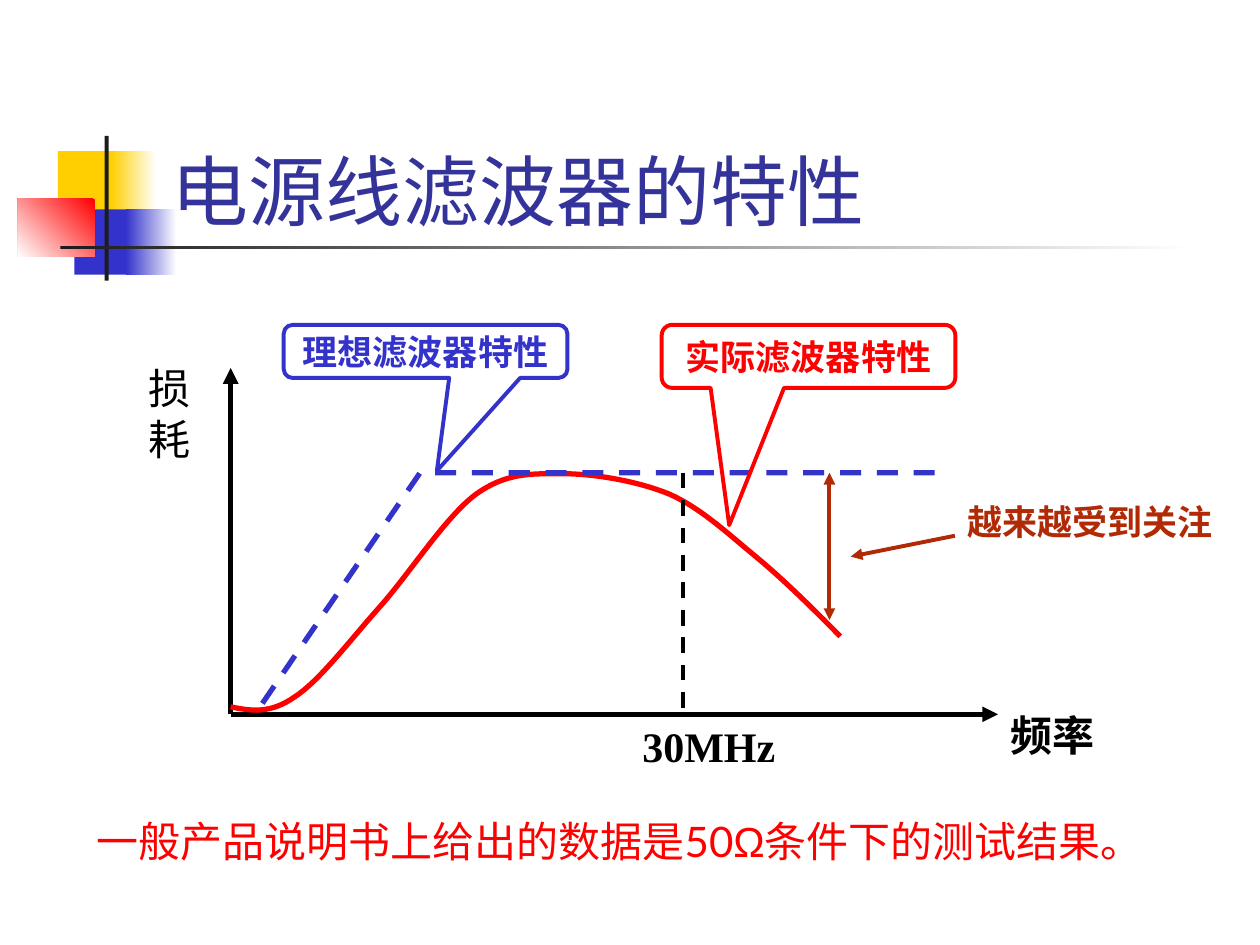
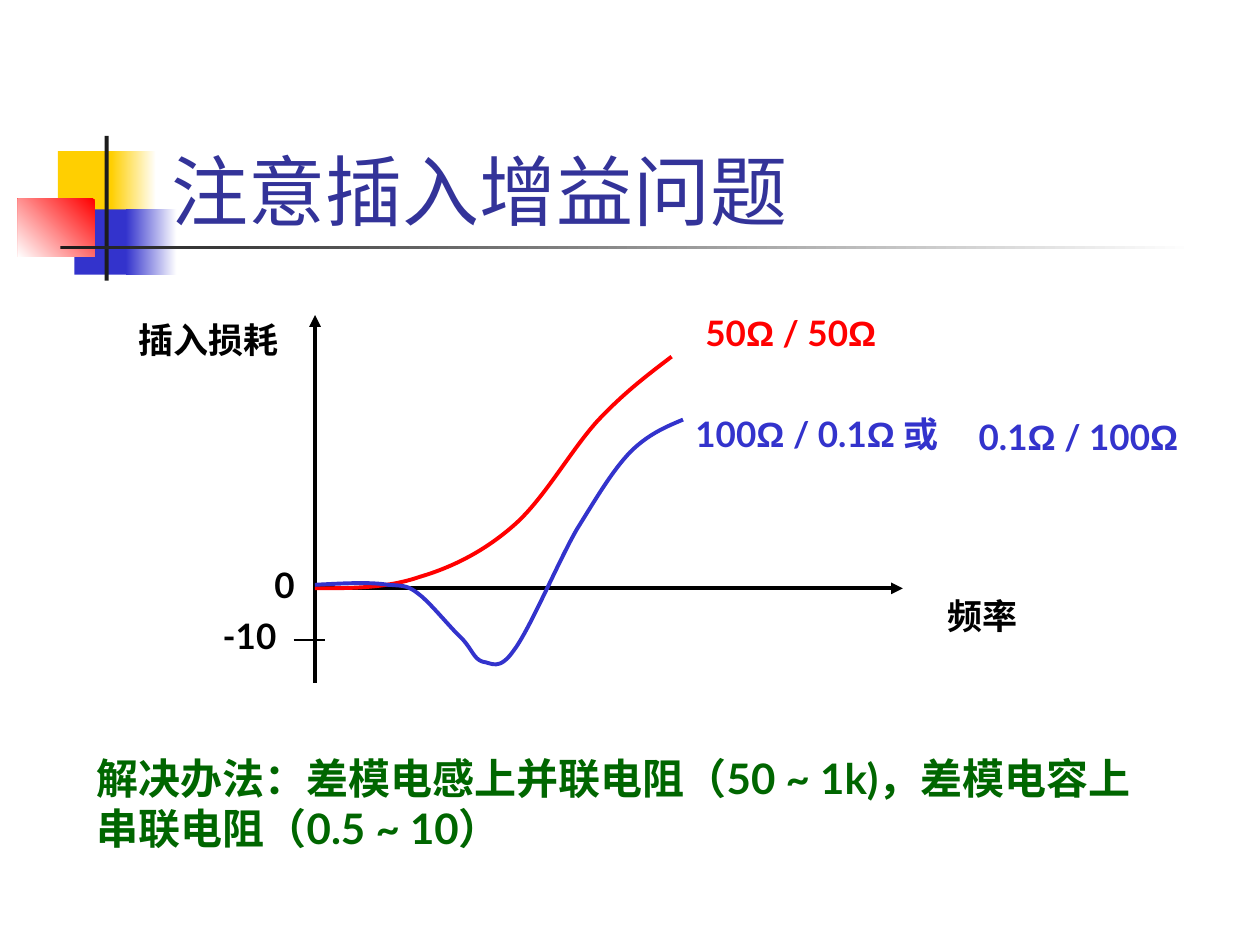
from itertools import groupby

from lxml import etree
from pptx import Presentation
from pptx import util as u
from pptx.dml.color import RGBColor
from pptx.enum import dml, lang, shapes, text
from pptx.oxml import ns

BLACK = RGBColor(0x00, 0x00, 0x00)
WHITE = RGBColor(0xFF, 0xFF, 0xFF)
CHARCOAL = RGBColor(0x1C, 0x1C, 0x1C)
YELLOW = RGBColor(0xFF, 0xCF, 0x01)
RED = RGBColor(0xFF, 0x00, 0x00)
BLUE = RGBColor(0x33, 0x33, 0xCC)
TITLE_BLUE = RGBColor(0x33, 0x33, 0x99)
RUST = RGBColor(0xB1, 0x2A, 0x05)
GREEN = RGBColor(0x00, 0x66, 0x00)

LATO = "Lato"
TIMES = "Times New Roman"
SYMBOL_FONT = "Arial"

ACTUAL_LOSS = [
    (4.65, 14.25),
    (5.05, 14.33), (5.44, 14.4), (5.94, 14.05),
    (6.45, 13.72), (7.06, 12.9), (7.67, 12.22),
    (8.28, 11.53), (8.99, 10.41), (9.6, 9.96),
    (10.21, 9.53), (10.69, 9.55), (11.33, 9.55),
    (11.99, 9.55), (12.85, 9.7), (13.49, 9.96),
    (14.12, 10.24), (14.63, 10.72), (15.21, 11.2),
    (15.77, 11.66), (16.36, 12.24), (16.94, 12.83),
]
IDEAL_LOSS = [(5.29, 14.18), (8.47, 9.53), (19.05, 9.53)]
MATCHED_LOSS = [
    (6.35, 11.86),
    (7.06, 11.86), (7.8, 11.86), (8.46, 11.63),
    (9.14, 11.43), (9.78, 11.1), (10.36, 10.59),
    (10.97, 10.06), (11.53, 9.04), (12.07, 8.46),
    (12.6, 7.9), (13.08, 7.54), (13.54, 7.19),
]
MISMATCHED_LOSS = [
    (6.35, 11.79),
    (6.91, 11.76), (7.47, 11.73), (7.82, 11.79),
    (8.18, 11.81), (8.23, 11.81), (8.46, 11.99),
    (8.71, 12.19), (9.09, 12.67), (9.32, 12.88),
    (9.53, 13.11), (9.55, 13.28), (9.73, 13.34),
    (9.91, 13.36), (10.06, 13.54), (10.36, 13.11),
    (10.69, 12.67), (11.25, 11.33), (11.63, 10.67),
    (12.04, 10.01), (12.34, 9.5), (12.7, 9.12),
    (13.06, 8.76), (13.41, 8.61), (13.77, 8.46),
]


def cm(values):
    return [u.Cm(value) for value in values]


def write_text(frame, content, *, size, color=BLACK, font=LATO, bold=False,
               align=text.PP_ALIGN.LEFT, anchor=text.MSO_ANCHOR.TOP, wrap=True):
    frame.word_wrap = wrap
    frame.vertical_anchor = anchor
    paragraph = frame.paragraphs[0]
    paragraph.alignment = align
    for is_ohm, letters in groupby(content, key=lambda letter: letter == "Ω"):
        run = paragraph.add_run()
        run.text = "".join(letters)
        run.font.name = SYMBOL_FONT if is_ohm else font
        run.font.size = u.Pt(size)
        run.font.bold = bold
        run.font.color.rgb = color
        run.font.language_id = lang.MSO_LANGUAGE_ID.SIMPLIFIED_CHINESE


def style_line(line, color, width, dashed=False):
    line.color.rgb = color
    line.width = u.Pt(width)
    if dashed:
        line.dash_style = dml.MSO_LINE.DASH


class FilterDeck:
    def __init__(self):
        self.presentation = Presentation()
        self.presentation.slide_width = u.Cm(25.4)
        self.presentation.slide_height = u.Cm(19.05)
        self.slide = None

    def new_slide(self, title):
        layout = self.presentation.slide_layouts[6]
        self.slide = self.presentation.slides.add_slide(layout)
        self.block((1.17, 3.05, 1.22, 1.32), YELLOW)
        self.block((2.24, 3.05, 0.91, 1.32), YELLOW, fade_angle=0)
        self.block((1.5, 4.22, 1.17, 1.32), BLUE)
        self.block((2.54, 4.22, 1.02, 1.32), BLUE, fade_angle=0)
        self.block((0.36, 4.01, 1.55, 1.17), RED, fade_angle=225)
        self.block((2.11, 2.74, 0.08, 2.92), CHARCOAL)
        self.block((1.22, 4.95, 22.86, 0.08), CHARCOAL, fade_angle=0)
        self.label(title, (3.2, 1.7, 21.64, 3.18), size=44, color=TITLE_BLUE,
                   anchor=text.MSO_ANCHOR.BOTTOM)

    def block(self, box, color, fade_angle=None):
        shape = self.slide.shapes.add_shape(shapes.MSO_SHAPE.RECTANGLE, *cm(box))
        shape.shadow.inherit = False
        shape.line.fill.background()
        if fade_angle is None:
            shape.fill.solid()
            shape.fill.fore_color.rgb = color
        else:
            shape.fill.gradient()
            shape.fill.gradient_angle = fade_angle
            for stop, stop_color in zip(shape.fill.gradient_stops, (color, WHITE)):
                stop.color.rgb = stop_color

    def label(self, content, box, **style):
        shape = self.slide.shapes.add_textbox(*cm(box))
        write_text(shape.text_frame, content, **style)

    def callout(self, content, box, pointer, color):
        kind = shapes.MSO_SHAPE.ROUNDED_RECTANGULAR_CALLOUT
        shape = self.slide.shapes.add_shape(kind, *cm(box))
        shape.shadow.inherit = False
        shape.fill.background()
        style_line(shape.line, color, 2.25)
        shape.adjustments[0], shape.adjustments[1] = pointer
        write_text(shape.text_frame, content, size=20, color=color, font=TIMES,
                   bold=True, align=text.PP_ALIGN.CENTER,
                   anchor=text.MSO_ANCHOR.MIDDLE, wrap=False)

    def line(self, start, end, color=BLACK, width=2.25, dashed=False, arrows=()):
        connector = self.slide.shapes.add_connector(
            shapes.MSO_CONNECTOR.STRAIGHT, *cm(start + end))
        style_line(connector.line, color, width, dashed)
        properties = connector._element.spPr
        outline = properties.find(ns.qn("a:ln"))
        for arrow in arrows:
            etree.SubElement(outline, ns.qn(f"a:{arrow}"), type="triangle")
        etree.SubElement(properties, ns.qn("a:effectLst"))

    def polyline(self, points, color, width, dashed=False):
        first, *others = [cm(point) for point in points]
        builder = self.slide.shapes.build_freeform(*first)
        builder.add_line_segments(others, close=False)
        shape = builder.convert_to_shape()
        shape.shadow.inherit = False
        shape.fill.background()
        style_line(shape.line, color, width, dashed)
        return shape

    def curve(self, points, color, width):
        shape = self.polyline(points, color, width)
        outline = next(shape._element.iter(ns.qn("a:path")))
        segments = outline.findall(ns.qn("a:lnTo"))
        for index in range(0, len(segments), 3):
            bezier = etree.SubElement(outline, ns.qn("a:cubicBezTo"))
            for segment in segments[index:index + 3]:
                bezier.append(segment[0])
                outline.remove(segment)


def build_filter_characteristics(deck):
    deck.new_slide("电源线滤波器的特性")
    origin = (4.65, 14.4)
    for axis_end in ((4.65, 7.42), (20.12, 14.4)):
        deck.line(origin, axis_end, width=3, arrows=["tailEnd"])
    deck.curve(ACTUAL_LOSS, RED, 3)
    deck.label("损耗", (2.74, 7.19, 1.7, 2.29), size=24, font=TIMES)
    deck.label("频率", (20.12, 14.17, 2.54, 1.27), size=24, font=TIMES, bold=True)
    deck.polyline(IDEAL_LOSS, BLUE, 3, dashed=True)
    deck.callout("理想滤波器特性", (5.72, 6.55, 5.72, 1.07), (0.04, 2.25), BLUE)
    deck.callout("实际滤波器特性", (13.34, 6.55, 5.92, 1.27), (-0.27, 2.68), RED)
    deck.label("一般产品说明书上给出的数据是50Ω条件下的测试结果。",
               (1.7, 16.31, 23.29, 1.27), size=24, color=RED)
    deck.line((13.77, 9.53), (13.77, 14.4), dashed=True)
    deck.label("30MHz", (12.7, 14.4, 3.61, 1.27), size=24, font=TIMES, bold=True)
    deck.line((16.72, 9.53), (16.72, 12.5), RUST, arrows=["headEnd", "tailEnd"])
    deck.label("越来越受到关注", (19.25, 9.96, 5.51, 1.12),
               size=20, color=RUST, bold=True)
    deck.line((19.25, 10.8), (17.15, 11.22), RUST, arrows=["tailEnd"])


def build_insertion_gain(deck):
    deck.new_slide("注意插入增益问题")
    deck.line((6.35, 13.76), (6.35, 6.35), arrows=["tailEnd"])
    deck.line((6.35, 11.86), (18.2, 11.86), arrows=["tailEnd"])
    deck.curve(MATCHED_LOSS, RED, 2.25)
    deck.curve(MISMATCHED_LOSS, BLUE, 2.25)
    deck.line((5.92, 12.9), (6.56, 12.9), width=0.75)
    for content, left, top, width, color in (
        ("0", 5.28, 11.23, 1.47, BLACK),
        ("-10", 4.24, 12.27, 1.9, BLACK),
        ("50Ω / 50Ω", 13.97, 6.15, 4.45, RED),
        ("100Ω / 0.1Ω 或", 13.77, 8.2, 6.15, BLUE),
        ("0.1Ω / 100Ω", 19.48, 8.26, 5.28, BLUE),
        ("频率", 18.85, 11.86, 2.11, BLACK),
        ("插入损耗", 2.54, 6.3, 3.61, BLACK),
    ):
        deck.label(content, (left, top, width, 1.12), size=20, color=color, bold=True)
    deck.label("解决办法：差模电感上并联电阻（50 ~ 1k)，差模电容上串联电阻（0.5 ~ 10）",
               (1.7, 15.04, 21.59, 2.29), size=24, color=GREEN, bold=True)


def main():
    deck = FilterDeck()
    build_filter_characteristics(deck)
    build_insertion_gain(deck)
    deck.presentation.save("out.pptx")


if __name__ == "__main__":
    main()
